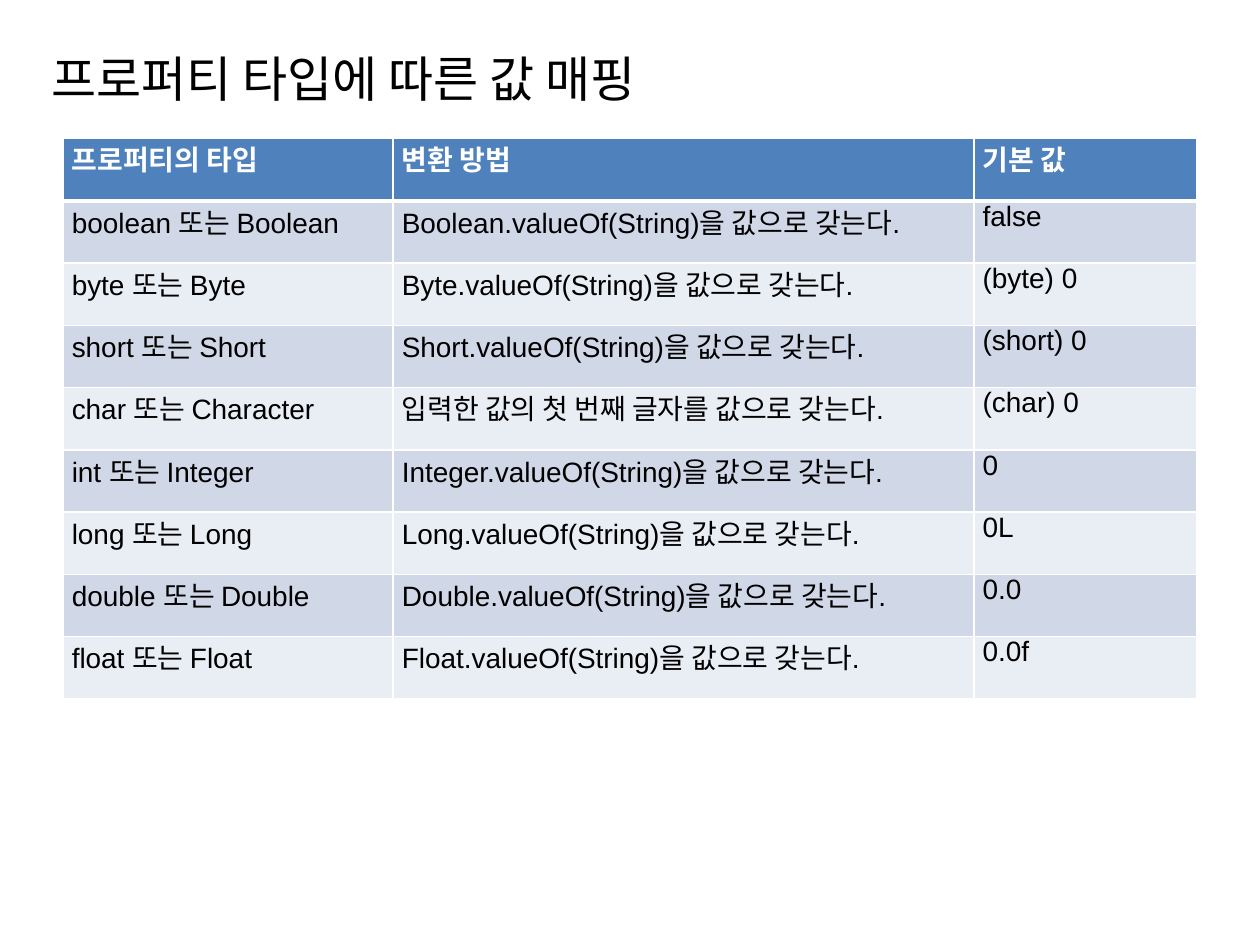
from typing import NamedTuple

from lxml import etree
from pptx import Presentation
from pptx.dml.color import RGBColor
from pptx.enum.text import MSO_ANCHOR, PP_ALIGN
from pptx.oxml.ns import qn
from pptx.util import Inches, Pt

MIDDLE = MSO_ANCHOR.MIDDLE
LEFT = PP_ALIGN.LEFT
JUSTIFY = PP_ALIGN.JUSTIFY
WHITE = RGBColor(0xFF, 0xFF, 0xFF)
BLACK = RGBColor(0x00, 0x00, 0x00)
BLUE = RGBColor(0x4F, 0x81, 0xBD)
DARK = RGBColor(0xD0, 0xD8, 0xE8)
LIGHT = RGBColor(0xE9, 0xED, 0xF4)
LATIN = "Arial"
KOREAN = "Noto Sans CJK KR"


class Row(NamedTuple):
    kind: str
    method: str
    default: str


def mapping(name: str, boxed: str, default: str, method: str = "") -> Row:
    method = method or f"{boxed}.valueOf(String)을 값으로 갖는다."
    return Row(f"{name} 또는 {boxed}", method, default)


HEAD = Row("프로퍼티의 타입", "변환 방법", "기본 값")
ROWS = [
    mapping("boolean", "Boolean", "false"),
    mapping("byte", "Byte", "(byte) 0"),
    mapping("short", "Short", "(short) 0"),
    mapping("char", "Character", "(char) 0", "입력한 값의 첫 번째 글자를 값으로 갖는다."),
    mapping("int", "Integer", "0"),
    mapping("long", "Long", "0L"),
    mapping("double", "Double", "0.0"),
    mapping("float", "Float", "0.0f"),
]
WIDTHS = [2.62, 4.61, 1.77]
HEIGHT = 4.45


def write(frame, text: str, *, size=16, font=LATIN, color=BLACK,
          bold=False, align=JUSTIFY) -> None:
    para = frame.paragraphs[0]
    para.alignment = align
    run = para.add_run()
    run.text = text
    run.font.size = Pt(size)
    run.font.name = font
    run.font.bold = bold
    run.font.color.rgb = color
    east = etree.SubElement(run.font._element, qn("a:ea"))
    east.set("typeface", KOREAN)


def border(cell, side: str, width: float) -> None:
    props = cell._tc.get_or_add_tcPr()
    line = etree.SubElement(props, qn(f"a:ln{side}"), w=str(Pt(width)))
    fill = etree.SubElement(line, qn("a:solidFill"))
    etree.SubElement(fill, qn("a:srgbClr"), val=str(WHITE))


def draw_title(slide, text: str) -> None:
    box = slide.shapes.add_textbox(Inches(0.31), Inches(0.3), Inches(9.45), Inches(0.64))
    frame = box.text_frame
    frame.word_wrap = True
    frame.vertical_anchor = MIDDLE
    write(frame, text, size=28, font=KOREAN, align=LEFT)


def draw_cell(cell, text: str, row: int) -> None:
    cell.margin_left = cell.margin_right = Inches(0.07)
    cell.margin_top = cell.margin_bottom = 0
    for side in "LRTB":
        thick = (row == 0 and side == "B") or (row == 1 and side == "T")
        border(cell, side, 3 if thick else 1)
    cell.fill.solid()
    cell.fill.fore_color.rgb = BLUE if row == 0 else DARK if row % 2 else LIGHT
    write(cell.text_frame, text, color=BLACK if row else WHITE, bold=row == 0)


def draw_table(slide, rows: list[Row]) -> None:
    table = slide.shapes.add_table(
        len(rows), len(WIDTHS), Inches(0.5), Inches(1.1),
        Inches(sum(WIDTHS)), Inches(HEIGHT)).table
    for column, width in zip(table.columns, WIDTHS):
        column.width = Inches(width)
    for i, row in enumerate(rows):
        for j, text in enumerate(row):
            draw_cell(table.cell(i, j), text, i)


def main() -> None:
    deck = Presentation()
    deck.slide_width = Inches(10)
    deck.slide_height = Inches(7.5)
    slide = deck.slides.add_slide(deck.slide_layouts[6])
    draw_title(slide, "프로퍼티 타입에 따른 값 매핑")
    draw_table(slide, [HEAD, *ROWS])
    deck.save("out.pptx")


if __name__ == "__main__":
    main()
